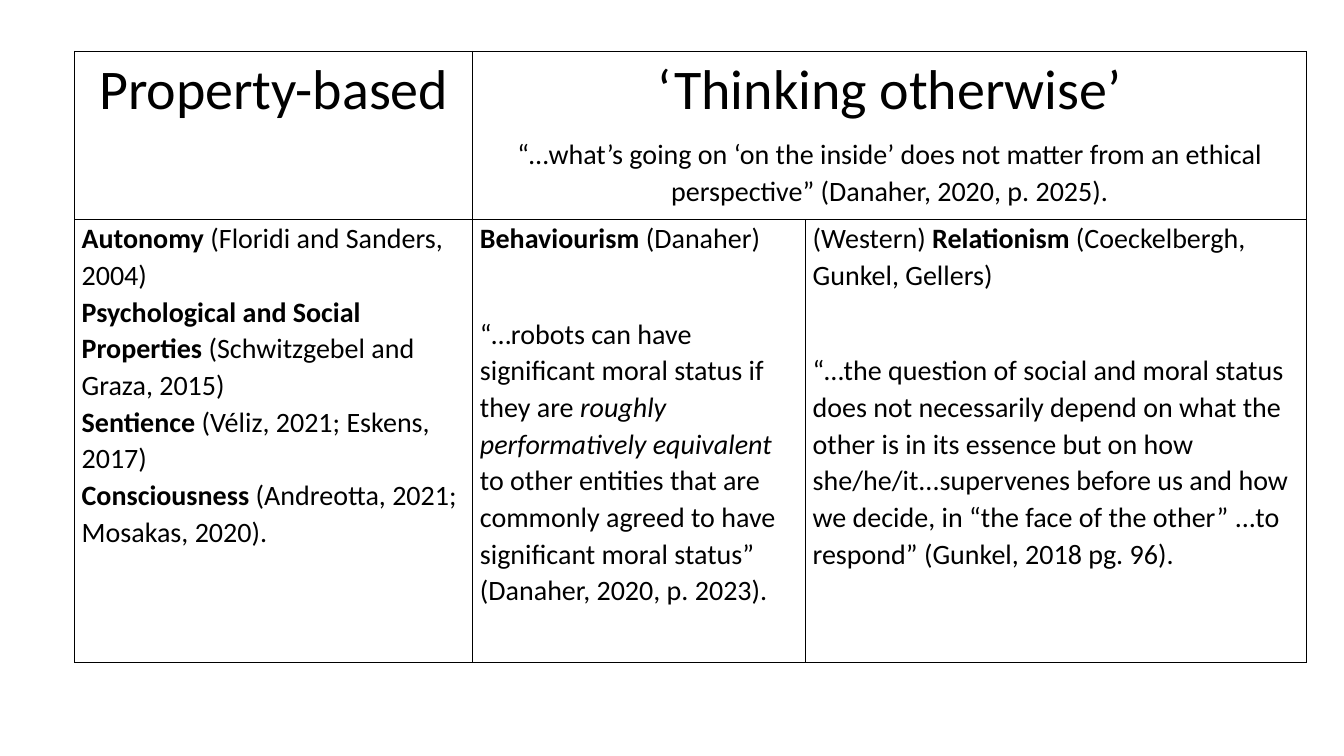
from lxml.etree import SubElement
from pptx import Presentation
from pptx.dml.color import RGBColor
from pptx.enum.text import MSO_ANCHOR, PP_ALIGN
from pptx.oxml.ns import qn
from pptx.util import Inches, Pt

BLACK = RGBColor(0x00, 0x00, 0x00)
FONT = "Calibri"
SLIDE_WIDTH, SLIDE_HEIGHT = Inches(13.33), Inches(7.5)
LEFT, TOP = Inches(0.74), Inches(0.51)
COLUMN_WIDTHS = [Inches(3.95), Inches(3.3), Inches(4.97)]
ROW_HEIGHTS = [Inches(1.67), Inches(4.39)]
SIDE_MARGIN = Inches(0.07)
HEADING_SIZE, BODY_SIZE = 40, 20
LINE_SPACING = 1.07
CAPTION_GAP, QUOTE_GAP = 8, 42

# A paragraph is a list of (text, style) pieces; style is "", "b" or "i".
PROPERTIES = [
    [("Autonomy", "b"), (" (Floridi and Sanders, 2004)", "")],
    [("Psychological and Social Properties", "b"),
     (" (Schwitzgebel and Graza, 2015)", "")],
    [("Sentience", "b"), (" (Véliz, 2021; Eskens, 2017)", "")],
    [("Consciousness", "b"), (" (Andreotta, 2021; Mosakas, 2020).", "")],
]
INSIDE_QUOTE = [
    ("“…what’s going on ‘on the inside’ does not matter from an ethical "
     "perspective” (Danaher, 2020, p. 2025).", ""),
]
BEHAVIOURISM = [("Behaviourism", "b"), (" (Danaher)", "")]
BEHAVIOURISM_QUOTE = [
    ("“…robots can have significant moral status if they are ", ""),
    ("roughly performatively equivalent", "i"),
    (" to other entities that are commonly agreed to have significant moral "
     "status” (Danaher, 2020, p. 2023).", ""),
]
RELATIONISM = [("(Western) ", ""), ("Relationism", "b"),
               (" (Coeckelbergh, Gunkel, Gellers)", "")]
RELATIONISM_QUOTE = [
    ("“…the question of social and moral status does not necessarily depend "
     "on what the other is in its essence but on how she/he/it...supervenes "
     "before us and how we decide, in “the face of the other” ...to respond” "
     "(Gunkel, 2018 pg. 96).", ""),
]


def add_grid(slide):
    """Add the table with plain cells and thin black borders."""
    table = slide.shapes.add_table(
        len(ROW_HEIGHTS), len(COLUMN_WIDTHS), LEFT, TOP,
        sum(COLUMN_WIDTHS), sum(ROW_HEIGHTS)).table
    table.first_row = table.horz_banding = False
    for column, width in zip(table.columns, COLUMN_WIDTHS):
        column.width = width
    for row, height in zip(table.rows, ROW_HEIGHTS):
        row.height = height
    for cell in table.iter_cells():
        style_cell(cell)
    return table


def style_cell(cell):
    """Set margins, borders and an empty fill on one cell."""
    cell.margin_left = cell.margin_right = SIDE_MARGIN
    cell.margin_top = cell.margin_bottom = 0
    cell.vertical_anchor = MSO_ANCHOR.TOP
    properties = cell._tc.get_or_add_tcPr()
    for side in ("a:lnL", "a:lnR", "a:lnT", "a:lnB"):
        line = SubElement(properties, qn(side), w=str(Pt(1)))
        SubElement(SubElement(line, qn("a:solidFill")),
                   qn("a:srgbClr"), val=str(BLACK))
    cell.fill.background()


def write_paragraph(paragraph, pieces, size=BODY_SIZE, align=PP_ALIGN.LEFT,
                    gap=0):
    """Write styled pieces of text into one paragraph."""
    paragraph.alignment = align
    paragraph.line_spacing = LINE_SPACING
    paragraph.space_before = Pt(gap)
    for text, style in pieces:
        run = paragraph.add_run()
        run.text = text
        run.font.name = FONT
        run.font.size = Pt(size)
        run.font.color.rgb = BLACK
        run.font.bold = style == "b"
        run.font.italic = style == "i"


def write_heading(cell, title):
    """Write a large centred column heading."""
    write_paragraph(cell.text_frame.paragraphs[0], [(title, "")],
                    HEADING_SIZE, PP_ALIGN.CENTER)


def write_view(cell, view, quote):
    """Write the name of a view with a quotation set off below it."""
    frame = cell.text_frame
    write_paragraph(frame.paragraphs[0], view)
    write_paragraph(frame.add_paragraph(), quote, gap=QUOTE_GAP)


def write_list(cell, entries):
    """Write one paragraph for each entry."""
    frame = cell.text_frame
    for index, entry in enumerate(entries):
        paragraph = frame.add_paragraph() if index else frame.paragraphs[0]
        write_paragraph(paragraph, entry)


def main():
    """Build the slide and save it."""
    presentation = Presentation()
    presentation.slide_width = SLIDE_WIDTH
    presentation.slide_height = SLIDE_HEIGHT
    slide = presentation.slides.add_slide(presentation.slide_layouts[6])

    table = add_grid(slide)
    otherwise = table.cell(0, 1)
    otherwise.merge(table.cell(0, 2))
    write_heading(table.cell(0, 0), "Property-based")
    write_heading(otherwise, "‘Thinking otherwise’")
    write_paragraph(otherwise.text_frame.add_paragraph(), INSIDE_QUOTE,
                    align=PP_ALIGN.CENTER, gap=CAPTION_GAP)
    write_list(table.cell(1, 0), PROPERTIES)
    write_view(table.cell(1, 1), BEHAVIOURISM, BEHAVIOURISM_QUOTE)
    write_view(table.cell(1, 2), RELATIONISM, RELATIONISM_QUOTE)

    presentation.save("out.pptx")


main()
